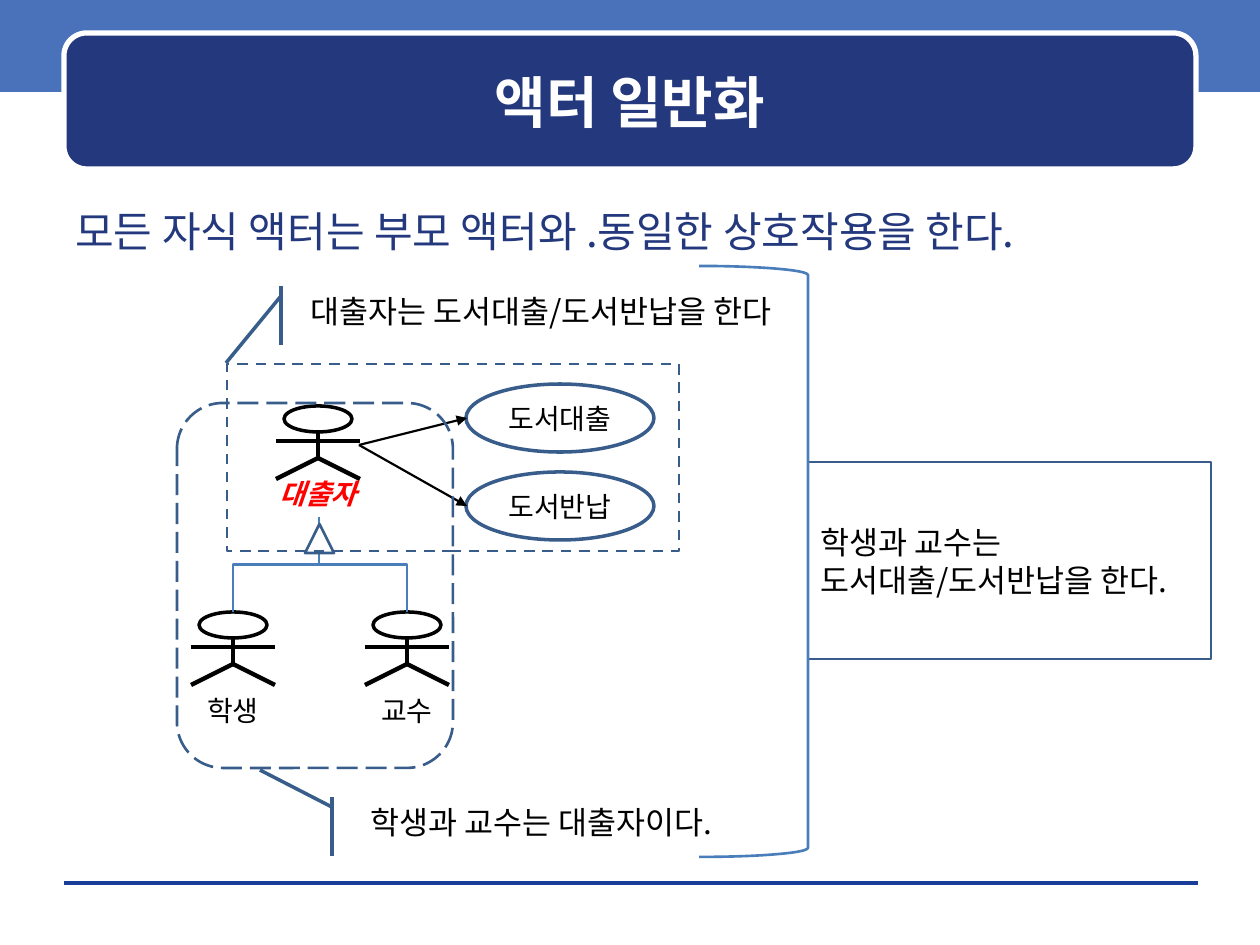
from lxml import etree
from pptx import Presentation
from pptx.dml.color import RGBColor
from pptx.enum.dml import MSO_LINE
from pptx.enum.shapes import MSO_CONNECTOR, MSO_SHAPE
from pptx.enum.text import MSO_ANCHOR, PP_ALIGN
from pptx.oxml.ns import qn
from pptx.util import Emu, Pt

RECT = MSO_SHAPE.RECTANGLE
ROUNDED = MSO_SHAPE.ROUNDED_RECTANGLE
OVAL = MSO_SHAPE.OVAL
TRIANGLE = MSO_SHAPE.ISOSCELES_TRIANGLE
CALLOUT = MSO_SHAPE.LINE_CALLOUT_1_ACCENT_BAR
BRACKET = MSO_SHAPE.RIGHT_BRACKET
STRAIGHT, ELBOW = MSO_CONNECTOR.STRAIGHT, MSO_CONNECTOR.ELBOW
DASH, LONG_DASH = MSO_LINE.DASH, MSO_LINE.LONG_DASH
LEFT, CENTER = PP_ALIGN.LEFT, PP_ALIGN.CENTER
TOP, MIDDLE = MSO_ANCHOR.TOP, MSO_ANCHOR.MIDDLE

FONT = "Noto Sans CJK KR"
COLORS = {
    "band": "4972BB", "navy": "23387D", "rule": "1A3D97", "bullet": "96B1E6",
    "outline": "385D8A", "link": "4A7EBB", "black": "000000",
    "white": "FFFFFF", "red": "FF0000",
}


def px(length):
    return Emu(round(length * 914400 / 126))


def color(name):
    return RGBColor.from_string(COLORS[name])


def write(shape, lines, size, ink="black", align=CENTER, anchor=MIDDLE,
          bold=False, italic=False, spacing=None):
    frame = shape.text_frame
    frame.word_wrap = True
    frame.vertical_anchor = anchor
    frame.text = "\n".join(lines)
    for paragraph in frame.paragraphs:
        paragraph.alignment = align
        paragraph.line_spacing = spacing
        font = paragraph.font
        font.name, font.size = FONT, Pt(size)
        font.bold, font.italic = bold, italic
        font.color.rgb = color(ink)
        defaults = paragraph._p.pPr.find(qn("a:defRPr"))
        etree.SubElement(defaults, qn("a:ea"), typeface=FONT)


def add_shape(shapes, kind, box, fill=None, line="outline", width=1.5, dash=None):
    shape = shapes.add_shape(kind, *map(px, box))
    shape.shadow.inherit = False
    if fill:
        shape.fill.solid()
        shape.fill.fore_color.rgb = color(fill)
    else:
        shape.fill.background()
    if line:
        shape.line.color.rgb = color(line)
        shape.line.width = Pt(width)
        shape.line.dash_style = dash
    else:
        shape.line.fill.background()
    return shape


def add_line(shapes, start, end, ink="black", width=2.5, kind=STRAIGHT, arrow=False):
    line = shapes.add_connector(kind, *map(px, (*start, *end)))
    line.line.color.rgb = color(ink)
    line.line.width = Pt(width)
    if arrow:
        etree.SubElement(line.line._get_or_add_ln(), qn("a:tailEnd"), type="triangle")
    etree.SubElement(line._element.spPr, qn("a:effectLst"))
    return line


def add_label(shapes, box, lines, size, **style):
    label = shapes.add_textbox(*map(px, box))
    write(label, lines, size, anchor=TOP, **style)
    return label


def add_bullet_text(shapes, box, text):
    label = shapes.add_textbox(*map(px, box))
    label.text_frame.text = text
    properties = label.text_frame.paragraphs[0]._p.get_or_add_pPr()
    properties.set("marL", str(px(48)))
    properties.set("indent", str(-px(48)))
    bullet_color = etree.SubElement(properties, qn("a:buClr"))
    etree.SubElement(bullet_color, qn("a:srgbClr"), val=COLORS["bullet"])
    etree.SubElement(properties, qn("a:buChar"), char="❖")
    write(label, [text], 24, ink="navy", align=LEFT, anchor=TOP)


def add_actor(shapes, center, top, name, label_width=132, label_drop=75, **style):
    figure = shapes.add_group_shape().shapes
    add_shape(figure, OVAL, (center - 34, top, 68, 26), line="black", width=2)
    hip = (center, top + 52)
    add_line(figure, (center, top + 26), hip)
    add_line(figure, (center - 42, top + 35), (center + 42, top + 35))
    for side in (-42, 42):
        add_line(figure, hip, (center + side, top + 73))
    add_label(shapes, (center - label_width // 2, top + label_drop, label_width, 47),
              [name], 16, **style)


def add_generalization(shapes, parent, child):
    (x1, y1), (x2, y2) = parent, child
    middle_x, middle_y = (x1 + x2) / 2, (y1 + y2) / 2
    side = 1 if x2 > x1 else -1
    reach, rise = side * (y2 - y1) / 2, abs(x2 - x1) / 2
    link = add_line(shapes, (middle_x + reach, middle_y - rise),
                    (middle_x - reach, middle_y + rise), "link", 1.5, ELBOW)
    turn = 270 if side > 0 else 90
    link._element.spPr.find(qn("a:xfrm")).set("rot", str(turn * 60000))


def add_callout(shapes, box, text, bar, target):
    left, top, width, height = box
    callout = add_shape(shapes, CALLOUT, box, width=2)
    callout.adjustments[0] = 0.17
    callout.adjustments[1] = (bar - left) / width
    callout.adjustments[2] = (target[1] - top) / height
    callout.adjustments[3] = (target[0] - left) / width
    write(callout, [text], 18, spacing=0.7)


def add_use_case(shapes, top, name):
    oval = add_shape(shapes, OVAL, (466, top, 188, 68), width=2)
    oval.text_frame.margin_left = oval.text_frame.margin_right = 0
    write(oval, [name], 16)


def main():
    deck = Presentation()
    deck.slide_width, deck.slide_height = px(1260), px(945)
    shapes = deck.slides.add_slide(deck.slide_layouts[6]).shapes

    add_shape(shapes, RECT, (0, 0, 1260, 92), "band", None)
    add_line(shapes, (64, 883), (1198, 883), "rule", 0)
    title = add_shape(shapes, ROUNDED, (64, 33, 1132, 136), "navy", "white", 3)
    write(title, ["액터 일반화"], 32, ink="white", bold=True)
    add_bullet_text(shapes, (63, 199, 1134, 672),
                    "모든 자식 액터는 부모 액터와 .동일한 상호작용을 한다.")

    children = {"학생": 233, "교수": 407}
    for name, center in children.items():
        add_actor(shapes, center, 612, name)
    add_actor(shapes, 318, 406, "대출자", label_width=236, label_drop=64,
              ink="red", bold=True, italic=True)
    for center in children.values():
        add_generalization(shapes, (319, 517), (center, 612))
    add_shape(shapes, TRIANGLE, (305, 524, 29, 29), "white")

    for top, name in ((384, "도서대출"), (472, "도서반납")):
        add_use_case(shapes, top, name)
        add_line(shapes, (359, 445), (467, top + 34), width=1.25, arrow=True)

    add_callout(shapes, (335, 797, 413, 59), "학생과 교수는 대출자이다.", 332, (260, 770))
    add_shape(shapes, RECT, (227, 364, 452, 187), dash=DASH)
    add_shape(shapes, ROUNDED, (177, 403, 276, 365), dash=LONG_DASH)
    add_callout(shapes, (266, 286, 550, 59), "대출자는 도서대출/도서반납을 한다",
                281, (226, 363))

    conclusion = add_shape(shapes, RECT, (808, 462, 403, 197), width=0.75)
    write(conclusion, ["학생과 교수는", "도서대출/도서반납을 한다."], 18, align=LEFT)
    add_shape(shapes, BRACKET, (699, 266, 109, 591), line="link")

    deck.save("out.pptx")


if __name__ == "__main__":
    main()
